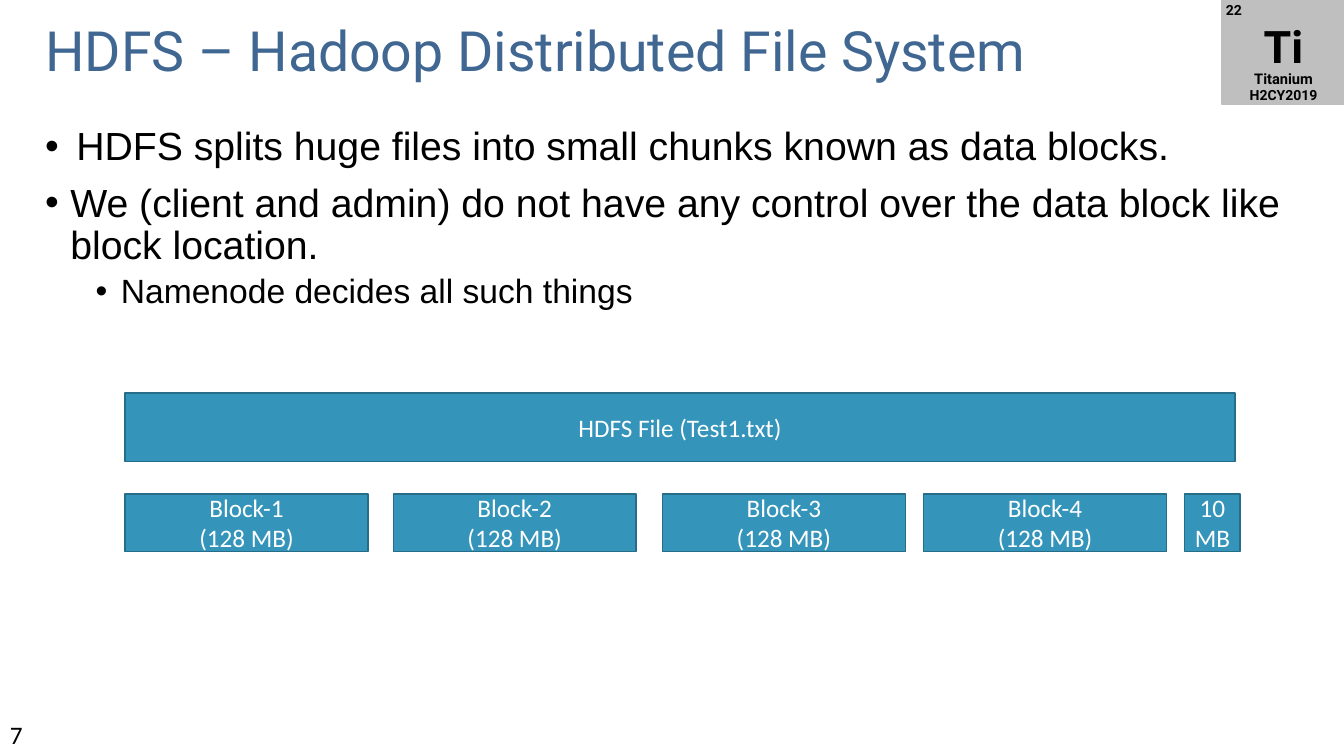
from lxml.etree import SubElement
from pptx import Presentation
from pptx.dml.color import RGBColor
from pptx.enum.shapes import MSO_SHAPE
from pptx.enum.text import MSO_ANCHOR, PP_ALIGN
from pptx.oxml.ns import qn
from pptx.util import Inches, Pt

COLORS = {
    "title": "406692",
    "text": "000000",
    "badge": "BFBFBF",
    "block": "3494BA",
    "block_line": "266D8A",
    "block_text": "FFFFFF",
}

presentation = Presentation()
presentation.slide_width = Inches(13.33)
presentation.slide_height = Inches(7.5)
slide = presentation.slides.add_slide(presentation.slide_layouts[6])


def write(shape, lines, size, font, color, bold=False, align=PP_ALIGN.LEFT,
          anchor=MSO_ANCHOR.TOP, wrap=True):
    """Fill a shape with one paragraph per line."""
    frame = shape.text_frame
    frame.word_wrap = wrap
    frame.vertical_anchor = anchor
    for index, line in enumerate(lines):
        paragraph = frame.add_paragraph() if index else frame.paragraphs[0]
        paragraph.alignment = align
        run = paragraph.add_run()
        run.text = line
        run.font.size = Pt(size)
        run.font.name = font
        run.font.bold = bold
        run.font.color.rgb = RGBColor.from_string(COLORS[color])
    return frame.paragraphs


def add_rectangle(left, top, width, height, fill, line):
    """Add a flat rectangle with a thin outline."""
    shape = slide.shapes.add_shape(
        MSO_SHAPE.RECTANGLE, Inches(left), Inches(top), Inches(width), Inches(height))
    shape.shadow.inherit = False
    shape.fill.solid()
    shape.fill.fore_color.rgb = RGBColor.from_string(COLORS[fill])
    shape.line.color.rgb = RGBColor.from_string(COLORS[line])
    shape.line.width = Pt(1)
    return shape


# Slide number
number = slide.shapes.add_textbox(0, Inches(7.09), Inches(0.5), Inches(0.4))
write(number, ["7"], 18, "Calibri", "text", wrap=False)

# Element badge in the top right corner
badge_left, badge_width = 12.12, 1.22
add_rectangle(badge_left, 0, badge_width, 1.04, "badge", "badge")
for label, left, top, width, height, size, align in [
    ("22", 12.06, -0.03, 0.69, 0.27, 10, PP_ALIGN.LEFT),
    ("Ti", badge_left, 0.14, badge_width, 0.64, 32, PP_ALIGN.CENTER),
    ("H2CY2019", badge_left, 0.81, badge_width, 0.27, 10, PP_ALIGN.CENTER),
    ("Titanium", badge_left, 0.64, badge_width, 0.28, 10.5, PP_ALIGN.CENTER),
]:
    box = slide.shapes.add_textbox(Inches(left), Inches(top), Inches(width), Inches(height))
    write(box, [label], size, "Roboto", "text", bold=True, align=align)

# Title
title = slide.shapes.add_textbox(Inches(0.35), Inches(0.16), Inches(11.12), Inches(0.75))
title_paragraphs = write(title, ["HDFS – Hadoop Distributed File System"], 39.6, "Roboto",
                         "title", anchor=MSO_ANCHOR.MIDDLE)
title_paragraphs[0].line_spacing = 0.9

# Bullets: text, level, left indent, hanging indent, size, space before
bullets = [
    ("HDFS splits huge files into small chunks known as data blocks.", 0, 0.31, 0.31, 28, 0),
    ("We (client and admin) do not have any control over the data block like block location.",
     0, 0.25, 0.25, 28, 10),
    ("Namenode decides all such things", 1, 0.75, 0.25, 24, 5),
]
body = slide.shapes.add_textbox(Inches(0.35), Inches(1.21), Inches(12.67), Inches(2.17))
body_paragraphs = write(body, [bullet[0] for bullet in bullets], 28, "Arial", "text")
for paragraph, (_, level, indent, hanging, size, before) in zip(body_paragraphs, bullets):
    properties = paragraph._p.get_or_add_pPr()
    properties.set("marL", str(Inches(indent)))
    properties.set("indent", str(-Inches(hanging)))
    SubElement(properties, qn("a:buFont")).set("typeface", "Arial")
    SubElement(properties, qn("a:buChar")).set("char", "•")
    paragraph.level = level
    paragraph.line_spacing = 0.9
    paragraph.space_before = Pt(before)
    paragraph.runs[0].font.size = Pt(size)

# File bar above its data blocks: lines, left, top, width, height
block_top, block_width, block_height = 4.9, 2.41, 0.57
bars = [(["HDFS File (Test1.txt)"], 1.24, 3.9, 11.01, 0.68)]
for index, left in enumerate([1.24, 3.9, 6.57, 9.16], start=1):
    bars.append(([f"Block-{index}", "(128 MB)"], left, block_top, block_width, block_height))
bars.append((["10 MB"], 11.75, block_top, 0.55, block_height))

for lines, left, top, width, height in bars:
    bar = add_rectangle(left, top, width, height, "block", "block_line")
    write(bar, lines, 18, "Calibri", "block_text", align=PP_ALIGN.CENTER,
          anchor=MSO_ANCHOR.MIDDLE)

presentation.save("out.pptx")
